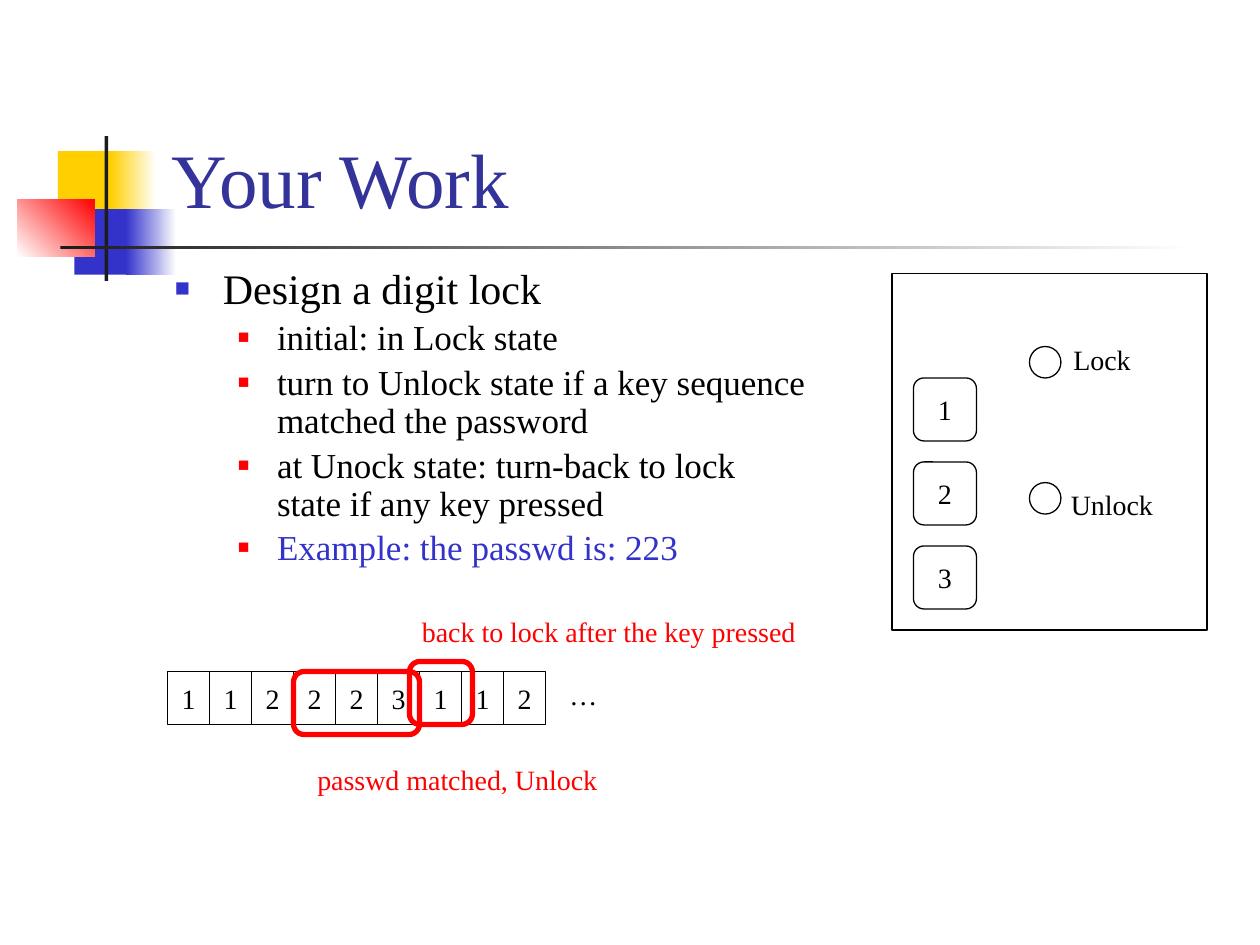
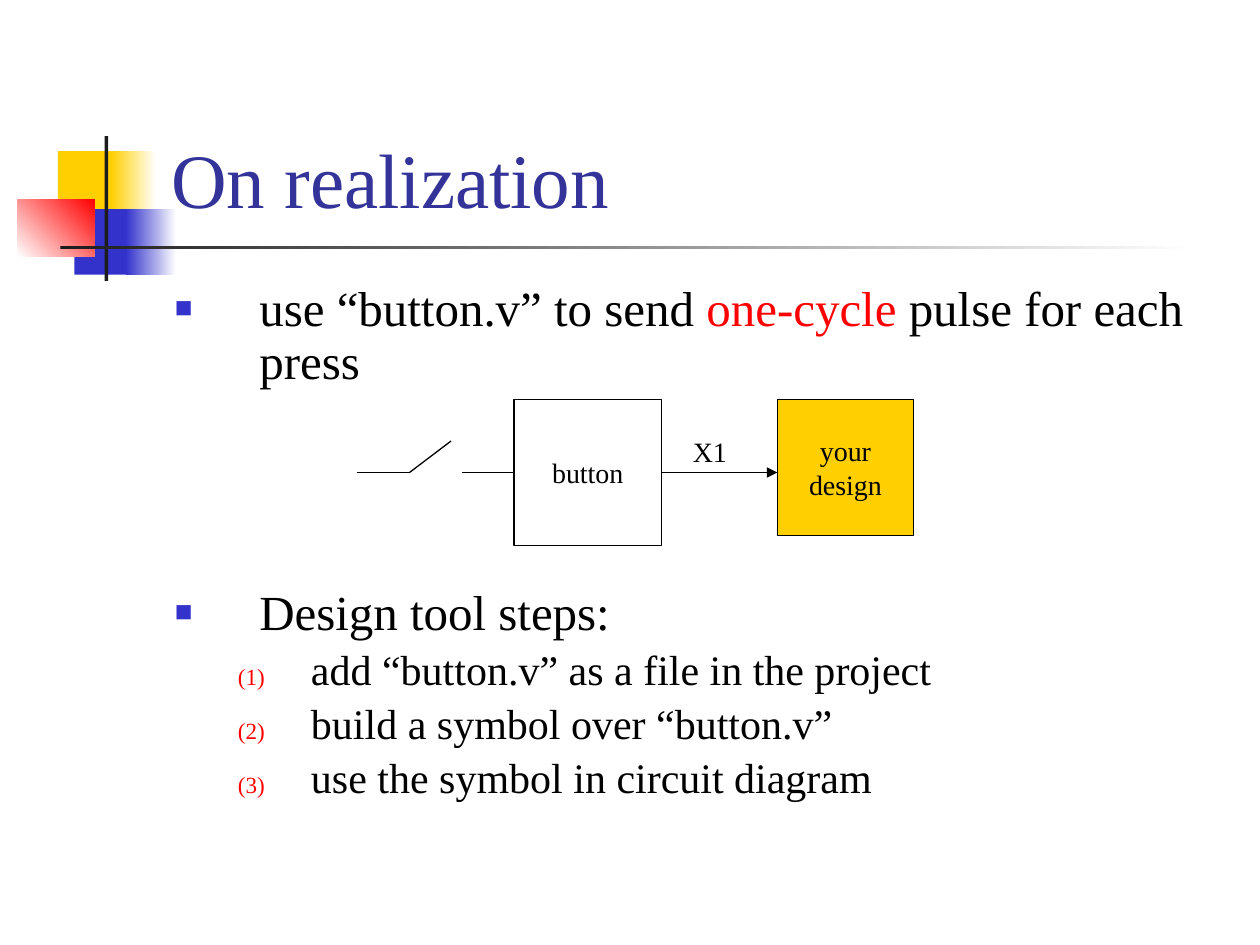
from dataclasses import dataclass
from typing import Optional

from lxml.etree import SubElement
from pptx import Presentation
from pptx.dml.color import RGBColor
from pptx.enum.shapes import MSO_CONNECTOR, MSO_SHAPE
from pptx.enum.text import MSO_ANCHOR, PP_ALIGN
from pptx.oxml.ns import qn
from pptx.shapes.autoshape import Shape
from pptx.shapes.connector import Connector
from pptx.slide import Slide
from pptx.util import Inches, Pt


@dataclass(frozen=True)
class Theme:
    """Colours, font and type sizes of the deck."""
    yellow: str = "FFCF01"
    blue: str = "3333CC"
    red: str = "FF0000"
    ink: str = "1C1C1C"
    title: str = "333399"
    text: str = "000000"
    white: str = "FFFFFF"
    font: str = "Times New Roman"
    title_size: int = 44
    label_size: int = 16
    thin: float = 0.75
    thick: float = 3


THEME = Theme()


@dataclass(frozen=True)
class Area:
    """A place on the slide in inches."""
    left: float
    top: float
    width: float
    height: float

    def lengths(self) -> tuple:
        """Return the four values as lengths."""
        return tuple(Inches(v) for v in (self.left, self.top, self.width, self.height))


@dataclass(frozen=True)
class Band:
    """A part of the title decoration, solid or fading."""
    area: Area
    start: str
    end: Optional[str] = None
    angle: float = 0


@dataclass(frozen=True)
class Level:
    """Indents and bullet of an outline level."""
    margin: float
    hang: float
    bullet_color: str
    bullet_percent: int
    numbered: bool = False


@dataclass(frozen=True)
class Item:
    """An outline paragraph made of text and colour pairs."""
    level: Level
    size: int
    runs: tuple
    before: Optional[float] = None


BANDS = (
    Band(Area(0.46, 1.2, 0.48, 0.52), THEME.yellow),
    Band(Area(0.88, 1.2, 0.36, 0.52), THEME.yellow, THEME.white),
    Band(Area(0.59, 1.66, 0.46, 0.52), THEME.blue),
    Band(Area(1, 1.66, 0.4, 0.52), THEME.blue, THEME.white),
    Band(Area(0.14, 1.58, 0.61, 0.46), THEME.white, THEME.red, 45),
    Band(Area(0.83, 1.08, 0.03, 1.15), THEME.ink),
    Band(Area(0.48, 1.95, 9, 0.03), THEME.ink, THEME.white),
)


def rgb(color: str) -> RGBColor:
    """Turn a hex value into a colour."""
    return RGBColor.from_string(color)


def write(paragraph, text: str, *, size: int = THEME.label_size,
          color: str = THEME.text, align: PP_ALIGN = PP_ALIGN.LEFT) -> None:
    """Add a formatted run to a paragraph."""
    paragraph.alignment = align
    run = paragraph.add_run()
    run.text = text
    run.font.name = THEME.font
    run.font.size = Pt(size)
    run.font.color.rgb = rgb(color)


def add_label(slide: Slide, text: str, area: Area, *, size: int = THEME.label_size,
              color: str = THEME.text, anchor: MSO_ANCHOR = MSO_ANCHOR.TOP,
              wrap: bool = False) -> None:
    """Place a line of free text."""
    frame = slide.shapes.add_textbox(*area.lengths()).text_frame
    frame.word_wrap = wrap
    frame.vertical_anchor = anchor
    write(frame.paragraphs[0], text, size=size, color=color)


def add_box(slide: Slide, kind: MSO_SHAPE, area: Area, text: str = "", *,
            fill: Optional[str] = None, line: Optional[str] = THEME.text,
            weight: float = THEME.thin) -> Shape:
    """Draw a preset shape with optional centred text."""
    box = slide.shapes.add_shape(kind, *area.lengths())
    box.shadow.inherit = False
    if fill:
        box.fill.solid()
        box.fill.fore_color.rgb = rgb(fill)
    else:
        box.fill.background()
    if line:
        box.line.color.rgb = rgb(line)
        box.line.width = Pt(weight)
    else:
        box.line.fill.background()
    if text:
        frame = box.text_frame
        frame.word_wrap = False
        frame.vertical_anchor = MSO_ANCHOR.MIDDLE
        for index, words in enumerate(text.split("\n")):
            paragraph = frame.add_paragraph() if index else frame.paragraphs[0]
            write(paragraph, words, align=PP_ALIGN.CENTER)
    return box


def add_wire(slide: Slide, start: tuple, end: tuple, *, arrow: bool = False) -> Connector:
    """Draw a straight line, with an arrowhead if asked."""
    wire = slide.shapes.add_connector(
        MSO_CONNECTOR.STRAIGHT, *(Inches(v) for v in (*start, *end)))
    wire.line.color.rgb = rgb(THEME.text)
    wire.line.width = Pt(THEME.thin)
    if arrow:
        SubElement(wire.line._get_or_add_ln(), qn("a:tailEnd"), type="triangle")
    SubElement(wire._element.spPr, qn("a:effectLst"))
    return wire


def add_bullet(paragraph, level: Level) -> None:
    """Give a paragraph the indents and bullet of its level."""
    props = paragraph._p.get_or_add_pPr()
    props.set("marL", str(Inches(level.margin)))
    props.set("indent", str(-Inches(level.hang)))
    color = SubElement(props, qn("a:buClr"))
    SubElement(color, qn("a:srgbClr"), val=level.bullet_color)
    SubElement(props, qn("a:buSzPct"), val=str(level.bullet_percent * 1000))
    SubElement(props, qn("a:buFont"), typeface=THEME.font)
    if level.numbered:
        SubElement(props, qn("a:buAutoNum"), type="arabicParenBoth")
    else:
        SubElement(props, qn("a:buChar"), char="■")


def add_outline(slide: Slide, area: Area, items: list) -> None:
    """Write the bulleted text of a slide."""
    frame = slide.shapes.add_textbox(*area.lengths()).text_frame
    frame.word_wrap = True
    for index, item in enumerate(items):
        paragraph = frame.add_paragraph() if index else frame.paragraphs[0]
        paragraph.line_spacing = 0.9
        paragraph.space_before = Pt(item.before or 0.2 * item.size)
        add_bullet(paragraph, item.level)
        for words, color in item.runs:
            write(paragraph, words, size=item.size, color=color)


def add_titled_slide(deck, title: str) -> Slide:
    """Add a blank slide with the shared decoration and title."""
    slide = deck.slides.add_slide(deck.slide_layouts[6])
    for band in BANDS:
        piece = add_box(slide, MSO_SHAPE.RECTANGLE, band.area, fill=band.start, line=None)
        if band.end:
            piece.fill.gradient()
            piece.fill.gradient_angle = band.angle
            for stop, color in zip(piece.fill.gradient_stops, (band.start, band.end)):
                stop.color.rgb = rgb(color)
    add_label(slide, title, Area(1.26, 0.23, 8.52, 1.6), size=THEME.title_size,
              color=THEME.title, anchor=MSO_ANCHOR.BOTTOM, wrap=True)
    return slide


def add_lock_panel(slide: Slide) -> None:
    """Draw the lock with its keys and state lamps."""
    for index, key in enumerate("123"):
        add_box(slide, MSO_SHAPE.ROUNDED_RECTANGLE,
                Area(7.25, 3 + index * 2 / 3, 0.5, 0.5), key)
    add_box(slide, MSO_SHAPE.RECTANGLE, Area(7.08, 2.17, 2.5, 2.83))
    for state, lamp_top, area in (("Lock", 2.75, Area(8.42, 2.67, 0.66, 0.37)),
                                  ("Unlock", 3.83, Area(8.4, 3.82, 0.86, 0.37))):
        add_box(slide, MSO_SHAPE.OVAL, Area(8.17, lamp_top, 0.25, 0.25))
        add_label(slide, state, area)


def add_key_sequence(slide: Slide) -> None:
    """Draw the pressed keys and mark the matching ones."""
    cell = 1 / 3
    for index, key in enumerate("112223112"):
        add_box(slide, MSO_SHAPE.RECTANGLE, Area(1.33 + index * cell, 5.33, cell, 0.42), key)
    add_label(slide, "…", Area(4.42, 5.33, 0.42, 0.37))
    for mark, note, area in (
            (Area(2.33, 5.33, 1, 0.5), "passwd matched, Unlock", Area(2.42, 6, 2.43, 0.37)),
            (Area(3.25, 5.25, 0.5, 0.5), "back to lock after the key pressed",
             Area(3.25, 4.83, 3.18, 0.37))):
        add_box(slide, MSO_SHAPE.ROUNDED_RECTANGLE, mark, line=THEME.red, weight=THEME.thick)
        add_label(slide, note, area, color=THEME.red)


def build_work(deck) -> None:
    """Build the slide on the digit lock task."""
    slide = add_titled_slide(deck, "Your Work")
    topic = Level(0.38, 0.38, THEME.blue, 60)
    detail = Level(0.81, 0.31, THEME.red, 55)
    details = (
        ("initial: in Lock state", THEME.text),
        ("turn to Unlock state if a key sequence matched the password", THEME.text),
        ("at Unock state: turn-back to lock state if any key pressed", THEME.text),
        ("Example: the passwd is: 223", THEME.blue),
    )
    add_outline(slide, Area(1.29, 2.08, 5.21, 2.92), [
        Item(topic, 24, (("Design a digit lock", THEME.text),)),
        *(Item(detail, 20, (run,)) for run in details),
    ])
    add_lock_panel(slide)
    add_key_sequence(slide)


def add_circuit(slide: Slide) -> None:
    """Draw the switch, the button block and the design block."""
    wire_y = 3.75
    button = add_box(slide, MSO_SHAPE.RECTANGLE, Area(4.08, 3.17, 1.17, 1.16), "button")
    signal = add_wire(slide, (5.25, wire_y), (6.17, wire_y), arrow=True)
    signal.begin_connect(button, 3)
    add_label(slide, "X1", Area(5.4, 3.4, 0.47, 0.37))
    add_wire(slide, (2.83, wire_y), (3.25, wire_y))
    add_wire(slide, (3.25, wire_y), (3.58, 3.5))
    switch_output = add_wire(slide, (3.67, wire_y), (4.08, wire_y))
    switch_output.end_connect(button, 1)
    add_box(slide, MSO_SHAPE.RECTANGLE, Area(6.17, 3.17, 1.08, 1.08), "your\ndesign",
            fill=THEME.yellow)


def build_realization(deck) -> None:
    """Build the slide on the button circuit and the tool steps."""
    slide = add_titled_slide(deck, "On realization")
    topic = Level(0.67, 0.67, THEME.blue, 60)
    step = Level(1.08, 0.58, THEME.red, 55, numbered=True)
    steps = (
        "add “button.v” as a file in the project",
        "build a symbol over “button.v”",
        "use the symbol in circuit diagram",
    )
    add_outline(slide, Area(1.29, 2.21, 8.5, 4.5), [
        Item(topic, 28, (("use “button.v” to send ", THEME.text),
                         ("one-cycle", THEME.red),
                         (" pulse for each press", THEME.text))),
        Item(topic, 28, (("Design tool steps:", THEME.text),), before=113),
        *(Item(step, 24, ((words, THEME.text),)) for words in steps),
    ])
    add_circuit(slide)


def main() -> None:
    """Build and save the deck."""
    deck = Presentation()
    deck.slide_width, deck.slide_height = Inches(10), Inches(7.5)
    build_work(deck)
    build_realization(deck)
    deck.save("out.pptx")


if __name__ == "__main__":
    main()
